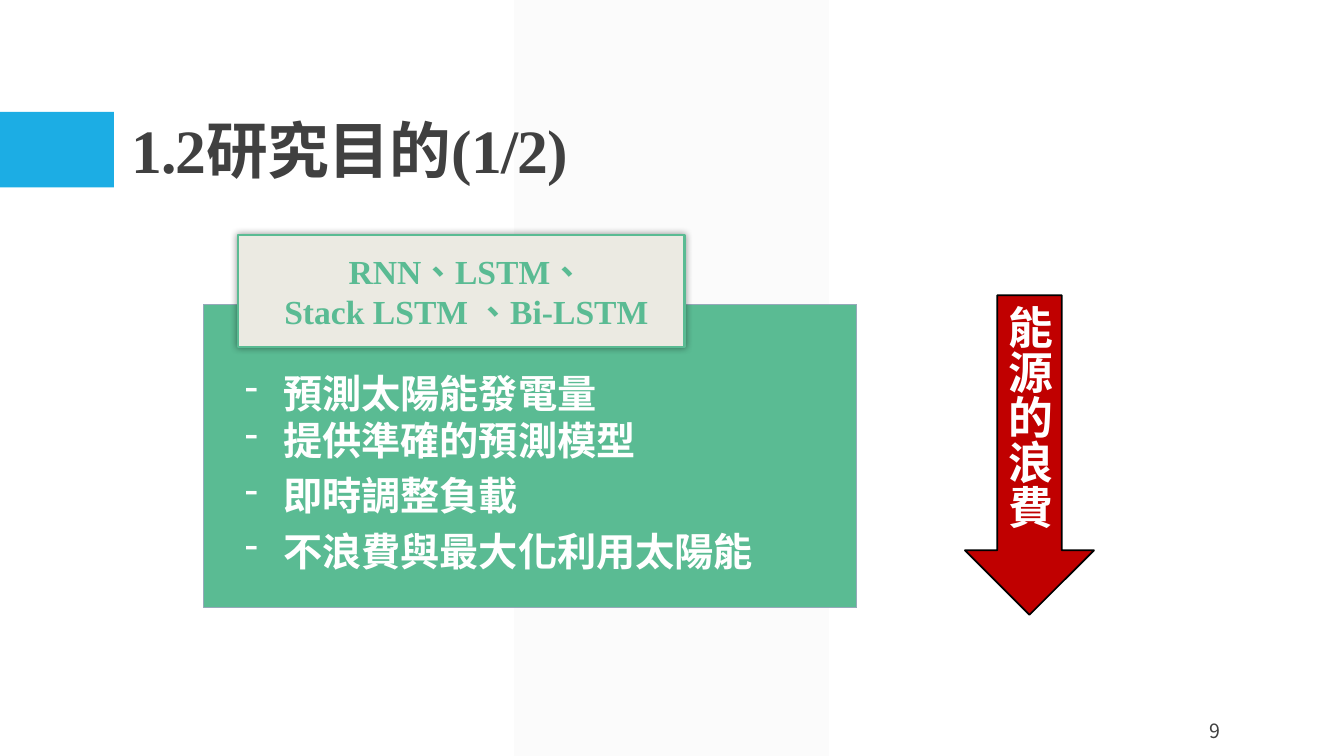
from dataclasses import dataclass

from lxml import etree
from pptx import Presentation
from pptx import util as u
from pptx.dml.color import RGBColor
from pptx.enum import shapes, text
from pptx.oxml import ns

ALIGN = text.PP_ALIGN
ANCHOR = text.MSO_ANCHOR


@dataclass(frozen=True)
class Theme:
    latin: str = "Times New Roman"
    chinese: str = "Noto Sans CJK SC"
    chinese_alt: str = "Noto Sans CJK TC"
    ink: str = "404040"
    white: str = "FFFFFF"
    black: str = "000000"
    band: str = "F2F2F2"
    blue: str = "1CADE4"
    green: str = "5ABB93"
    green_edge: str = "96A9BA"
    cream: str = "EBEAE2"
    red: str = "C00000"
    title_size: int = 44
    arrow_size: int = 32
    goal_size: int = 28
    model_size: int = 24
    number_size: int = 14


def add_xml(parent, tag, **attributes):
    return etree.SubElement(parent, ns.qn(tag), attributes)


class SlideBuilder:
    def __init__(self, slide, theme):
        self.slide = slide
        self.theme = theme

    def shape(self, preset, box, fill, line=None, line_width=0.0):
        shape = self.slide.shapes.add_shape(preset, *map(u.Inches, box))
        shape.shadow.inherit = False
        shape.fill.solid()
        shape.fill.fore_color.rgb = RGBColor.from_string(fill)
        if line:
            shape.line.color.rgb = RGBColor.from_string(line)
            shape.line.width = u.Pt(line_width)
        else:
            shape.line.fill.background()
        return shape

    def fade(self, shape, percent):
        """Make the shape's fill opaque only to the given percentage."""
        color = shape._element.spPr.find(".//" + ns.qn("a:srgbClr"))
        add_xml(color, "a:alpha", val=str(percent * 1000))

    def glow_shadow(self, shape, blur, percent):
        """Give the shape a centred, blurred shadow."""
        effects = shape._element.spPr.find(ns.qn("a:effectLst"))
        shadow = add_xml(effects, "a:outerShdw", blurRad=str(u.Pt(blur)), dist="0",
                         dir="0", algn="ctr", rotWithShape="0")
        color = add_xml(shadow, "a:srgbClr", val=self.theme.black)
        add_xml(color, "a:alpha", val=str(percent * 1000))

    def set_text(self, frame, lines, size, color, font, east_asian=None,
                 bold=True, align=ALIGN.LEFT):
        frame.word_wrap = True
        frame.text = "\n".join(lines)
        for paragraph in frame.paragraphs:
            paragraph.alignment = align
            for run in paragraph.runs:
                run.font.size = u.Pt(size)
                run.font.bold = bold
                run.font.name = font
                run.font.color.rgb = RGBColor.from_string(color)
                properties = run.font._element
                properties.set("lang", "zh-TW")
                add_xml(properties, "a:ea", typeface=east_asian or font)

    def textbox(self, box, lines, size, color, font, **style):
        frame = self.slide.shapes.add_textbox(*map(u.Inches, box)).text_frame
        self.set_text(frame, lines, size, color, font, **style)
        return frame

    def title(self, box, words):
        theme = self.theme
        title = self.slide.shapes.title
        title.left, title.top, title.width, title.height = map(u.Inches, box)
        frame = title.text_frame
        self.set_text(frame, [words], theme.title_size, theme.ink, theme.latin,
                      east_asian=theme.chinese_alt)
        frame.vertical_anchor = ANCHOR.BOTTOM
        frame.paragraphs[0].line_spacing = 0.9
        frame.paragraphs[0].runs[0].font._element.set("spc", "-50")
        # Bring the title in front of the background band
        self.slide.shapes._spTree.append(title._element)

    def dash_list(self, frame, indent):
        for paragraph in frame.paragraphs:
            properties = paragraph._p.get_or_add_pPr()
            properties.set("marL", str(u.Inches(indent)))
            properties.set("indent", str(u.Inches(-indent)))
            add_xml(properties, "a:buChar", char="-")


def main():
    theme = Theme()
    preset = shapes.MSO_SHAPE
    deck = Presentation()
    deck.slide_width, deck.slide_height = u.Inches(13.33), u.Inches(7.5)
    page = SlideBuilder(deck.slides.add_slide(deck.slide_layouts[5]), theme)

    band = page.shape(preset.PARALLELOGRAM, (5.1, 0, 3.12, 7.5), theme.band)
    band.adjustments[0] = 0
    page.fade(band, 30)
    page.shape(preset.RECTANGLE, (0, 1.11, 1.13, 0.75), theme.blue)
    page.title((1.2, 0.31, 11, 1.59), "1.2研究目的(1/2)")

    number = page.textbox((11.35, 7.05, 0.85, 0.4), ["9"], theme.number_size, theme.ink,
                          theme.chinese_alt, bold=False, align=ALIGN.RIGHT)
    number.vertical_anchor = ANCHOR.MIDDLE

    waste = page.shape(preset.DOWN_ARROW, (9.57, 2.93, 1.28, 3.17), theme.red,
                       theme.black, 1.25).text_frame
    page.set_text(waste, ["能源的浪費"], theme.arrow_size, theme.white, theme.chinese,
                  align=ALIGN.CENTER)
    waste.vertical_anchor = ANCHOR.MIDDLE
    waste._txBody.bodyPr.set("vert", "eaVert")

    page.shape(preset.RECTANGLE, (2.02, 3.02, 6.48, 3.01), theme.green, theme.green_edge)
    goals = page.textbox(
        (2.33, 3.61, 5.91, 2.15),
        ["預測太陽能發電量", "提供準確的預測模型", "即時調整負載", "不浪費與最大化利用太陽能"],
        theme.goal_size, theme.white, theme.chinese, align=ALIGN.JUSTIFY)
    for goal in goals.paragraphs[2:]:
        goal.space_before = u.Pt(6)
    page.dash_list(goals, 0.38)

    models = page.shape(preset.RECTANGLE, (2.36, 2.33, 4.43, 1.11), theme.cream,
                        theme.green, 1.5)
    page.glow_shadow(models, 5, 40)
    page.textbox((2.55, 2.44, 4.15, 0.91), ["RNN、LSTM、", "Stack LSTM 、Bi-LSTM"],
                 theme.model_size, theme.green, theme.latin,
                 east_asian=theme.chinese_alt, align=ALIGN.CENTER)

    deck.save("out.pptx")


if __name__ == "__main__":
    main()
